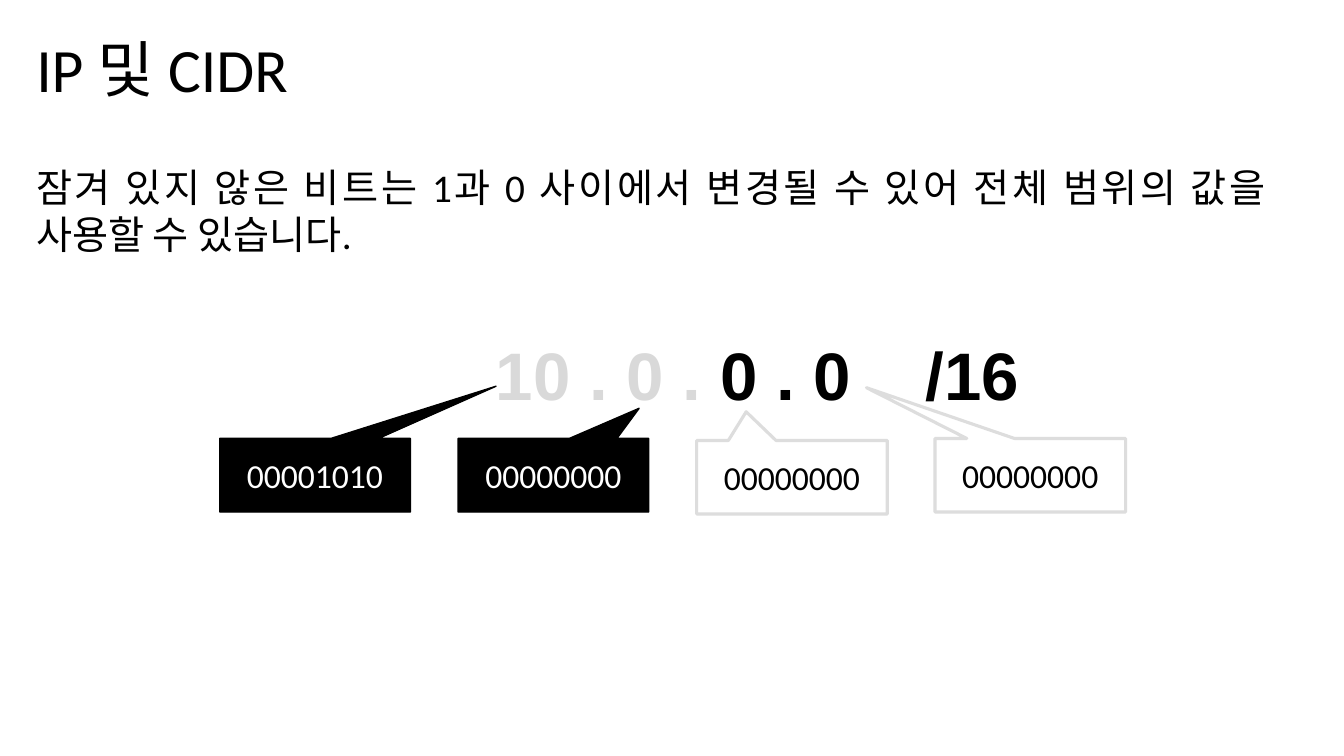
"""Build the slide that shows the locked and free bits of a CIDR block."""
from dataclasses import dataclass

from lxml import etree
from pptx import Presentation
from pptx.dml.color import RGBColor
from pptx.enum.shapes import MSO_SHAPE
from pptx.enum.text import MSO_ANCHOR, MSO_AUTO_SIZE, PP_ALIGN
from pptx.oxml.ns import qn
from pptx.util import Inches, Pt

CALLOUT = MSO_SHAPE.RECTANGULAR_CALLOUT
MIDDLE = MSO_ANCHOR.MIDDLE
LEFT, CENTER, JUSTIFY = PP_ALIGN.LEFT, PP_ALIGN.CENTER, PP_ALIGN.JUSTIFY
FIXED, GROW = MSO_AUTO_SIZE.NONE, MSO_AUTO_SIZE.SHAPE_TO_FIT_TEXT

SLIDE_WIDTH, SLIDE_HEIGHT = Inches(13.33), Inches(7.5)
COLORS = {"black": "000000", "white": "FFFFFF", "outline": "DDDDDD", "locked": "D9D9D9"}
TITLE_ONLY = 5
MARGIN = 1.95
CALLOUT_LEFT, CALLOUT_PITCH = 16.35, 17.74
CALLOUT_WIDTH, CALLOUT_HEIGHT = 14.18, 9.73
PREFIX_TAB = Inches(4.26)


@dataclass(frozen=True)
class Area:
    """Place on the slide in percent of its width and height."""
    left: float
    top: float
    width: float
    height: float

    def lengths(self) -> tuple[int, int, int, int]:
        """Return left, top, width and height in slide units."""
        return (
            round(SLIDE_WIDTH * self.left / 100),
            round(SLIDE_HEIGHT * self.top / 100),
            round(SLIDE_WIDTH * self.width / 100),
            round(SLIDE_HEIGHT * self.height / 100),
        )


@dataclass(frozen=True)
class Octet:
    """Bits of one address part and the tip of its callout."""
    bits: str
    tip: tuple[float, float]
    locked: bool
    top: float = 58.0


TITLE_AREA = Area(MARGIN, 3.87, 91.22, 11.33)
BODY_AREA = Area(MARGIN, 20.93, 93.02, 71.6)
ADDRESS_AREA = Area(36.16, 43.47, 42.61, 12.13)
OCTETS = [
    Octet("00001010", (0.95, -1.21), True),
    Octet("00000000", (0.45, -0.91), True),
    Octet("00000000", (-0.24, -0.89), False, 58.27),
    Octet("00000000", (-0.86, -1.19), False),
]


def color(name: str) -> RGBColor:
    """Look up a named colour."""
    return RGBColor.from_string(COLORS[name])


def add_run(paragraph, text: str, size: int, color_name: str = "black",
            font_name: str = "Calibri", bold: bool = False) -> None:
    """Append one formatted run."""
    run = paragraph.add_run()
    run.text = text
    run.font.name = font_name
    run.font.size = Pt(size)
    run.font.bold = bold
    run.font.color.rgb = color(color_name)


def add_title(slide) -> None:
    """Place and fill the title placeholder."""
    title = slide.shapes.title
    title.left, title.top, title.width, title.height = TITLE_AREA.lengths()
    frame = title.text_frame
    frame.auto_size = FIXED
    frame.vertical_anchor = MIDDLE
    paragraph = frame.paragraphs[0]
    paragraph.alignment = LEFT
    paragraph.line_spacing = 0.9
    add_run(paragraph, "IP 및 CIDR", 44)


def add_text_box(slide, area: Area):
    """Add a wrapping text box and return its text frame."""
    frame = slide.shapes.add_textbox(*area.lengths()).text_frame
    frame.word_wrap = True
    return frame


def add_body(slide) -> None:
    """Add the explanation below the title."""
    paragraph = add_text_box(slide, BODY_AREA).paragraphs[0]
    paragraph.alignment = JUSTIFY
    paragraph.space_before = Pt(24)
    add_run(paragraph, "잠겨 있지 않은 비트는 1과 0 사이에서 변경될 수 있어 "
                       "전체 범위의 값을 사용할 수 있습니다.", 28)


def add_callout(slide, column: int, octet: Octet) -> None:
    """Add the callout with the bits of one octet."""
    area = Area(CALLOUT_LEFT + column * CALLOUT_PITCH, octet.top,
                CALLOUT_WIDTH, CALLOUT_HEIGHT)
    shape = slide.shapes.add_shape(CALLOUT, *area.lengths())
    shape.shadow.inherit = False
    shape.adjustments[0], shape.adjustments[1] = octet.tip
    shape.fill.solid()
    shape.fill.fore_color.rgb = color("black" if octet.locked else "white")
    shape.line.color.rgb = color("black" if octet.locked else "outline")
    shape.line.width = Pt(1 if octet.locked else 2.25)
    shape.text_frame.vertical_anchor = MIDDLE
    paragraph = shape.text_frame.paragraphs[0]
    paragraph.alignment = CENTER
    add_run(paragraph, octet.bits, 24, "white" if octet.locked else "black")


def add_address(slide) -> None:
    """Add the address with its prefix length at a tab stop."""
    frame = add_text_box(slide, ADDRESS_AREA)
    frame.auto_size = GROW
    paragraph = frame.paragraphs[0]
    properties = paragraph._p.get_or_add_pPr()
    tab_list = etree.SubElement(properties, qn("a:tabLst"))
    etree.SubElement(tab_list, qn("a:tab"), pos=str(PREFIX_TAB), algn="l")
    add_run(paragraph, "10 . 0 . ", 48, "locked", "Arial", True)
    add_run(paragraph, "0 . 0\t/16", 48, "black", "Arial", True)


def main() -> None:
    """Build and save the presentation."""
    presentation = Presentation()
    presentation.slide_width, presentation.slide_height = SLIDE_WIDTH, SLIDE_HEIGHT
    slide = presentation.slides.add_slide(presentation.slide_layouts[TITLE_ONLY])
    add_title(slide)
    add_body(slide)
    for column, octet in enumerate(OCTETS):
        add_callout(slide, column, octet)
    add_address(slide)
    presentation.save("out.pptx")


if __name__ == "__main__":
    main()
